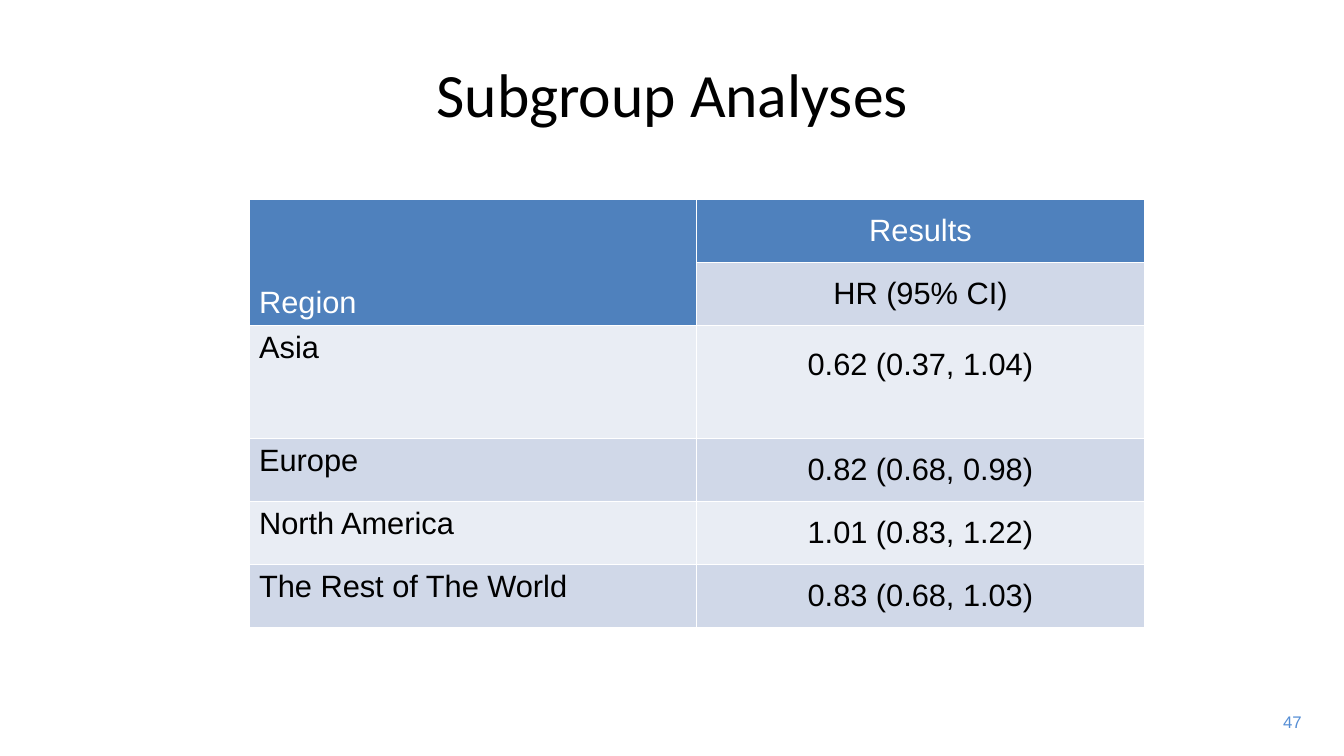
import pptx
import pptx.util
import pptx.dml.color
import pptx.enum.text
import pptx.oxml
import pptx.oxml.ns

Inches = pptx.util.Inches
RGBColor = pptx.dml.color.RGBColor
ALIGN = pptx.enum.text.PP_ALIGN
ANCHOR = pptx.enum.text.MSO_ANCHOR

BLACK = RGBColor(0x00, 0x00, 0x00)
WHITE = RGBColor(0xFF, 0xFF, 0xFF)
HEADER_BLUE = RGBColor(0x4F, 0x81, 0xBD)
BAND_DARK = RGBColor(0xD0, 0xD8, 0xE8)
BAND_LIGHT = RGBColor(0xE9, 0xED, 0xF4)
NUMBER_BLUE = RGBColor(0x55, 0x8E, 0xD5)


def write(frame, text, size=22, font="Arial", color=BLACK, align=ALIGN.LEFT):
    para = frame.paragraphs[0]
    para.alignment = align
    span = para.add_run()
    span.text = text
    span.font.size = pptx.util.Pt(size)
    span.font.name = font
    span.font.bold = False
    span.font.color.rgb = color


def add_borders(cell):
    properties = cell._tc.get_or_add_tcPr()
    for position, side in enumerate(("lnL", "lnR", "lnT", "lnB")):
        border = pptx.oxml.parse_xml(
            f'<a:{side} {pptx.oxml.ns.nsdecls("a")} w="12700"><a:solidFill>'
            f'<a:srgbClr val="{WHITE}"/></a:solidFill></a:{side}>'
        )
        properties.insert(position, border)


deck = pptx.Presentation()
deck.slide_width = Inches(13.33)
deck.slide_height = Inches(7.5)
page = deck.slides.add_slide(deck.slide_layouts[5])

title = page.shapes.title
title.left, title.top = Inches(0.67), Inches(0.3)
title.width, title.height = Inches(12), Inches(1.25)
title.text_frame.vertical_anchor = ANCHOR.MIDDLE
write(title.text_frame, "Subgroup Analyses", size=44, font="Calibri", align=ALIGN.CENTER)

number_box = page.shapes.add_textbox(Inches(12.6), Inches(7.01), Inches(0.41), Inches(0.3))
number_box.text_frame.word_wrap = False
write(number_box.text_frame, "47", size=12, color=NUMBER_BLUE, align=ALIGN.RIGHT)

rows = [
    ("Region", "Results"),
    ("", "HR (95% CI)"),
    ("Asia", "0.62 (0.37, 1.04)"),
    ("Europe", "0.82 (0.68, 0.98)"),
    ("North America", "1.01 (0.83, 1.22)"),
    ("The Rest of The World", "0.83 (0.68, 1.03)"),
]
row_heights = [0.625, 0.625, 1.12, 0.625, 0.625, 0.625]

table = page.shapes.add_table(
    len(rows), 2, Inches(2.47), Inches(1.98), Inches(8.88), Inches(sum(row_heights))
).table
for column in table.columns:
    column.width = Inches(4.44)

for row_index, (row, height) in enumerate(zip(rows, row_heights)):
    table.rows[row_index].height = Inches(height)
    for column_index, text in enumerate(row):
        cell = table.cell(row_index, column_index)
        is_header = row_index == 0
        cell.fill.solid()
        band = BAND_DARK if row_index % 2 else BAND_LIGHT
        cell.fill.fore_color.rgb = HEADER_BLUE if is_header else band
        add_borders(cell)
        if column_index:
            cell.vertical_anchor = ANCHOR.MIDDLE
        if text:
            write(
                cell.text_frame,
                text,
                color=WHITE if is_header else BLACK,
                align=ALIGN.CENTER if column_index else ALIGN.LEFT,
            )

region = table.cell(0, 0)
region.merge(table.cell(1, 0))
region.vertical_anchor = ANCHOR.BOTTOM
table.cell(2, 1).margin_bottom = Inches(0.39)

deck.save("out.pptx")
